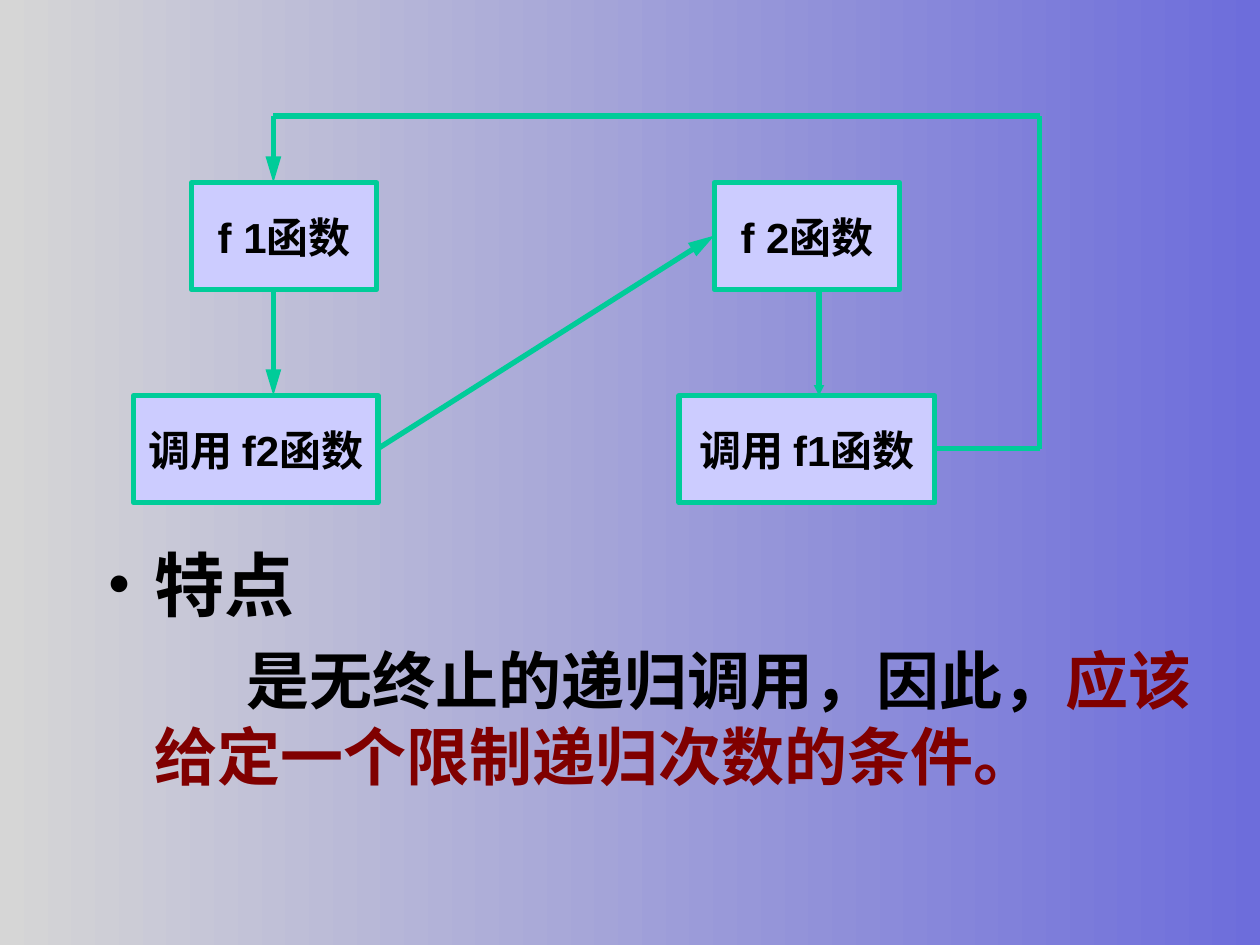
"""Builds a slide on mutual recursion between two functions."""
from lxml import etree
from pptx import Presentation
from pptx import util as u
from pptx.dml.color import RGBColor
from pptx.enum import shapes, text
from pptx.oxml.ns import qn

COLORS = {
    "night": "6D6DDB",
    "mist": "D6D6D6",
    "box": "CCCCFF",
    "edge": "00CC99",
    "ink": "000000",
    "warning": "800000",
}
EDGE_WIDTH = u.Pt(3)
BOX_HEIGHT = 0.85
TOP_ROW, CALL_ROW = 1.45, 3.14
LOOP_TOP, LOOP_RIGHT = 0.92, 8.25
F1_AXIS, F2_AXIS = 2.17, 6.5


def color(name):
    return RGBColor.from_string(COLORS[name])


def paint_background(slide):
    fill = slide.background.fill
    fill.gradient()
    fill.gradient_angle = 180
    for stop, name, position in zip(fill.gradient_stops, ("night", "mist"), (0, 1)):
        stop.color.rgb = color(name)
        stop.position = position


def add_run(paragraph, wording, size, font, ink="ink"):
    run = paragraph.add_run()
    run.text = wording
    run.font.size = u.Pt(size)
    run.font.name = font
    run.font.bold = True
    run.font.color.rgb = color(ink)


def set_indent(paragraph, left, first):
    properties = paragraph._p.get_or_add_pPr()
    properties.set("marL", str(u.Inches(left)))
    properties.set("indent", str(u.Inches(first)))
    return properties


def add_bullet(paragraph):
    properties = set_indent(paragraph, 0.38, -0.38)
    etree.SubElement(properties, qn("a:buFont"), typeface="Times New Roman")
    etree.SubElement(properties, qn("a:buChar"), char="•")


def add_feature_text(slide):
    feature = slide.shapes.add_textbox(
        u.Inches(0.75), u.Inches(4.25), u.Inches(8.9), u.Inches(2.42))
    frame = feature.text_frame
    frame.word_wrap = True
    heading = frame.paragraphs[0]
    add_bullet(heading)
    add_run(heading, "特点", 40, "Times New Roman")
    explanation = frame.add_paragraph()
    set_indent(explanation, 0.38, 0.73)
    explanation.space_before = u.Pt(9)
    add_run(explanation, "是无终止的递归调用，因此，", 36, "Times New Roman")
    add_run(explanation, "应该给定一个限制递归次数的条件。", 36,
            "Times New Roman", "warning")


def add_function_box(diagram, label, left, top, width):
    box = diagram.shapes.add_shape(
        shapes.MSO_SHAPE.RECTANGLE, u.Inches(left), u.Inches(top),
        u.Inches(width), u.Inches(BOX_HEIGHT))
    box.shadow.inherit = False
    box.fill.solid()
    box.fill.fore_color.rgb = color("box")
    box.line.color.rgb = color("edge")
    box.line.width = EDGE_WIDTH
    frame = box.text_frame
    frame.word_wrap = False
    frame.vertical_anchor = text.MSO_ANCHOR.MIDDLE
    caption = frame.paragraphs[0]
    caption.alignment = text.PP_ALIGN.CENTER
    add_run(caption, label, 24, "Arial")


def add_call_line(diagram, start, end, head=None):
    call = diagram.shapes.add_connector(
        shapes.MSO_CONNECTOR.STRAIGHT, *map(u.Inches, start + end))
    call.line.color.rgb = color("edge")
    call.line.width = EDGE_WIDTH
    if head:
        width, length = head
        etree.SubElement(call.line._get_or_add_ln(), qn("a:tailEnd"),
                         type="triangle", w=width, len=length)
    etree.SubElement(call._element.spPr, qn("a:effectLst"))


def add_recursion_diagram(slide):
    diagram = slide.shapes.add_group_shape()
    for label, left, top, width in (
        ("f 1函数", 1.52, TOP_ROW, 1.47),
        ("调用 f2函数", 1.06, CALL_ROW, 1.94),
        ("f 2函数", 5.67, TOP_ROW, 1.47),
        ("调用 f1函数", 5.39, CALL_ROW, 2.03),
    ):
        add_function_box(diagram, label, left, top, width)

    long_head, small_head = ("med", "lg"), ("sm", "sm")
    top_bottom = TOP_ROW + BOX_HEIGHT
    call_middle = 3.56
    add_call_line(diagram, (F1_AXIS, top_bottom), (F1_AXIS, CALL_ROW), long_head)
    add_call_line(diagram, (3, call_middle), (5.67, 1.87), long_head)
    add_call_line(diagram, (F2_AXIS, top_bottom), (F2_AXIS, CALL_ROW), small_head)

    loop = [(7.42, call_middle), (LOOP_RIGHT, call_middle),
            (LOOP_RIGHT, LOOP_TOP), (F1_AXIS, LOOP_TOP), (F1_AXIS, TOP_ROW)]
    for start, end in zip(loop, loop[1:]):
        add_call_line(diagram, start, end, long_head if end == loop[-1] else None)


def main():
    deck = Presentation()
    deck.slide_width, deck.slide_height = u.Inches(10), u.Inches(7.5)
    slide = deck.slides.add_slide(deck.slide_layouts[6])
    paint_background(slide)
    add_feature_text(slide)
    add_recursion_diagram(slide)
    deck.save("out.pptx")


if __name__ == "__main__":
    main()
